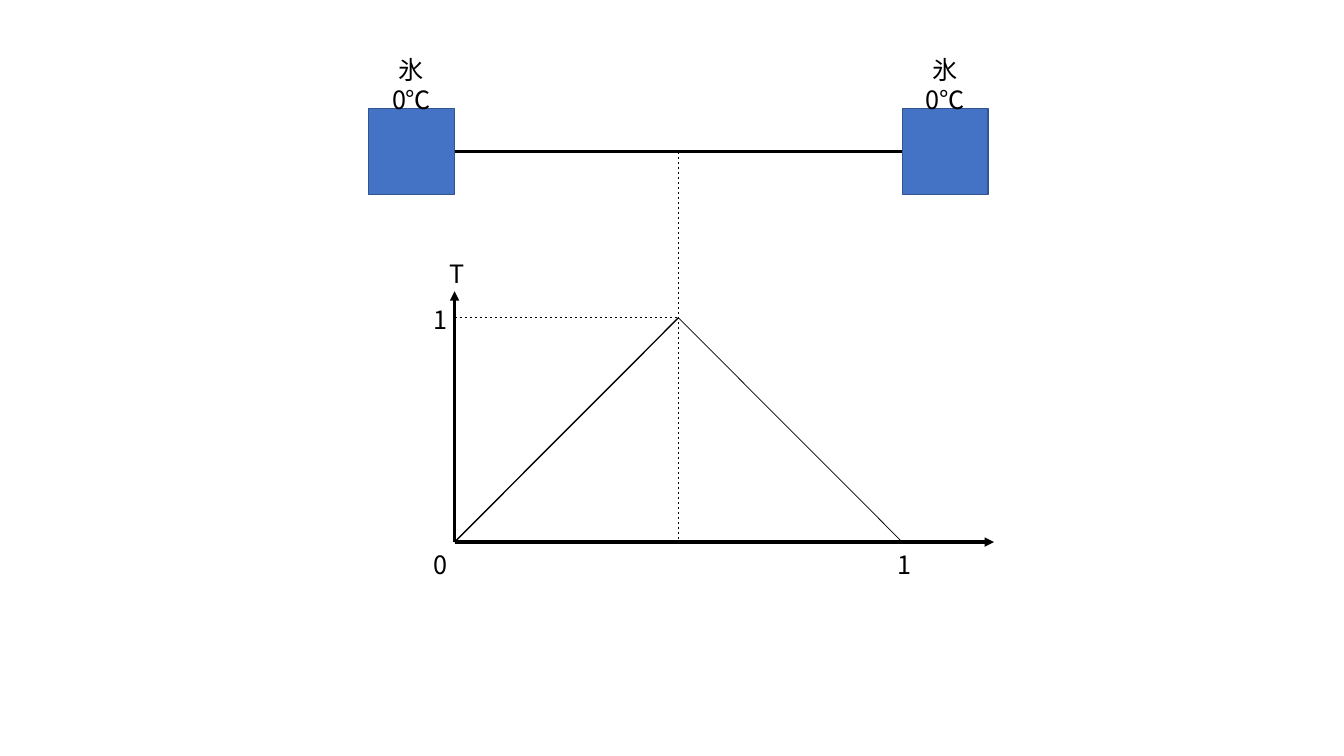
from dataclasses import dataclass

from lxml import etree
from pptx import Presentation
from pptx.dml.color import RGBColor
from pptx.enum.dml import MSO_LINE
from pptx.enum.shapes import MSO_CONNECTOR, MSO_SHAPE
from pptx.enum.text import PP_ALIGN
from pptx.oxml.ns import qn
from pptx.util import Pt

RECTANGLE = MSO_SHAPE.RECTANGLE
STRAIGHT = MSO_CONNECTOR.STRAIGHT
DASH = MSO_LINE.DASH
CENTER = PP_ALIGN.CENTER


@dataclass(frozen=True)
class Theme:
    ink: RGBColor = RGBColor(0, 0, 0)
    ice: RGBColor = RGBColor(0x44, 0x72, 0xC4)
    ice_edge: RGBColor = RGBColor(0x32, 0x54, 0x91)
    font: str = "Noto Sans CJK JP"
    size: float = 18
    leading: float = 21.5
    thick: float = 2.25
    medium: float = 1
    thin: float = 0.5


class Sketch:
    def __init__(self, slide, theme):
        self.shapes = slide.shapes
        self.theme = theme

    def block(self, left, top, side):
        shape = self.shapes.add_shape(RECTANGLE, Pt(left), Pt(top), Pt(side), Pt(side))
        shape.shadow.inherit = False
        shape.fill.solid()
        shape.fill.fore_color.rgb = self.theme.ice
        shape.line.color.rgb = self.theme.ice_edge
        shape.line.width = Pt(self.theme.medium)

    def line(self, start, end, width, dash=None, arrow=False):
        ends = [Pt(value) for value in (*start, *end)]
        connector = self.shapes.add_connector(STRAIGHT, *ends)
        connector.line.color.rgb = self.theme.ink
        connector.line.width = Pt(width)
        if dash:
            connector.line.dash_style = dash
        if arrow:
            etree.SubElement(connector.line._get_or_add_ln(), qn("a:tailEnd"), type="triangle")
        etree.SubElement(connector._element.spPr, qn("a:effectLst"))

    def label(self, text, center, top, width, height):
        box = self.shapes.add_textbox(Pt(center - width / 2), Pt(top), Pt(width), Pt(height))
        frame = box.text_frame
        frame_format = {"word_wrap": True, "margin_top": Pt(5.4), "margin_bottom": 0}
        for name, value in frame_format.items():
            setattr(frame, name, value)
        frame.text = text
        paragraph = frame.paragraphs[0]
        paragraph.alignment = CENTER
        paragraph.line_spacing = Pt(self.theme.leading)
        for run in paragraph.runs:
            run.font.name = self.theme.font
            run.font.size = Pt(self.theme.size)
            run.font.color.rgb = self.theme.ink
            etree.SubElement(run.font._element, qn("a:ea"), typeface=self.theme.font)


presentation = Presentation()
presentation.slide_width, presentation.slide_height = Pt(960), Pt(540)
theme = Theme()
sketch = Sketch(presentation.slides.add_slide(presentation.slide_layouts[6]), theme)

# Shared geometry of rod and graph
x_zero, x_one = 324.7, 644.5
x_middle = (x_zero + x_one) / 2
rod_y, peak_y, base_y = 108.3, 227, 387.2
ice_side = 61.4
origin, peak = (x_zero, base_y), (x_middle, peak_y)

# Ice blocks joined by the rod
for ice_left in (x_zero - ice_side, x_one):
    sketch.block(ice_left, rod_y - ice_side / 2, ice_side)
    sketch.label("氷\v0℃", ice_left + ice_side / 2, 33.2, 52.4, 50.9)
sketch.line((x_zero, rod_y), (x_one, rod_y), theme.thick)

# Axes
for axis_end in ((x_zero, 208), (710, base_y)):
    sketch.line(origin, axis_end, theme.thick, arrow=True)

# Temperature profile
sketch.line(origin, peak, theme.medium)
sketch.line(peak, (x_one, base_y), theme.thin)

# Guides through the peak
sketch.line((x_middle, rod_y), (x_middle, base_y), theme.thin, DASH)
sketch.line((x_zero, peak_y), peak, theme.thin, DASH)

# Axis labels
for text, center, top in (
    ("0", 313.7, 386.9),
    ("1", x_one + 1, 386.9),
    ("T", x_zero + 0.5, 179),
    ("1", 313.7, 212.4),
):
    sketch.label(text, center, top, 22.6, 29.1)

presentation.save("out.pptx")
